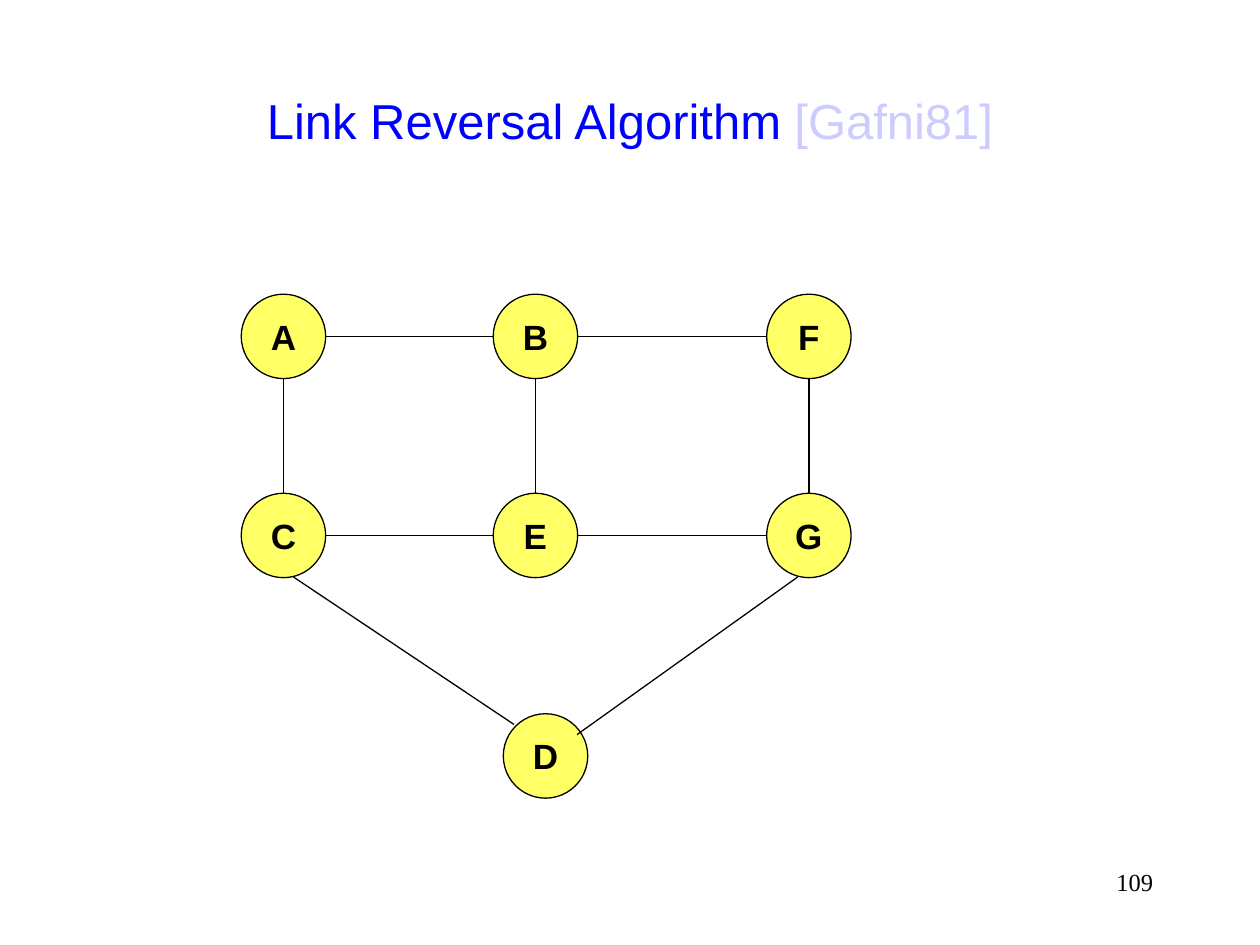
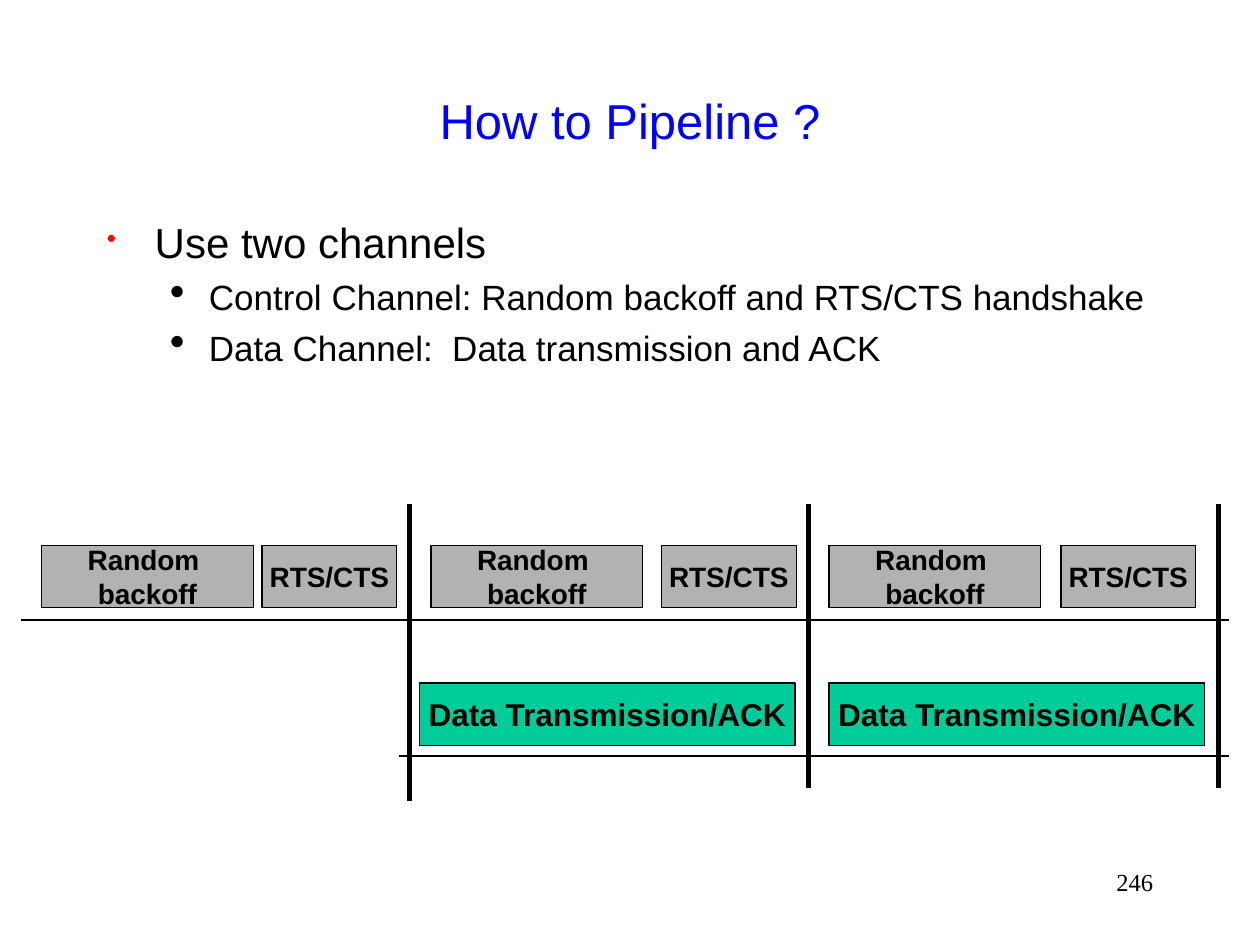
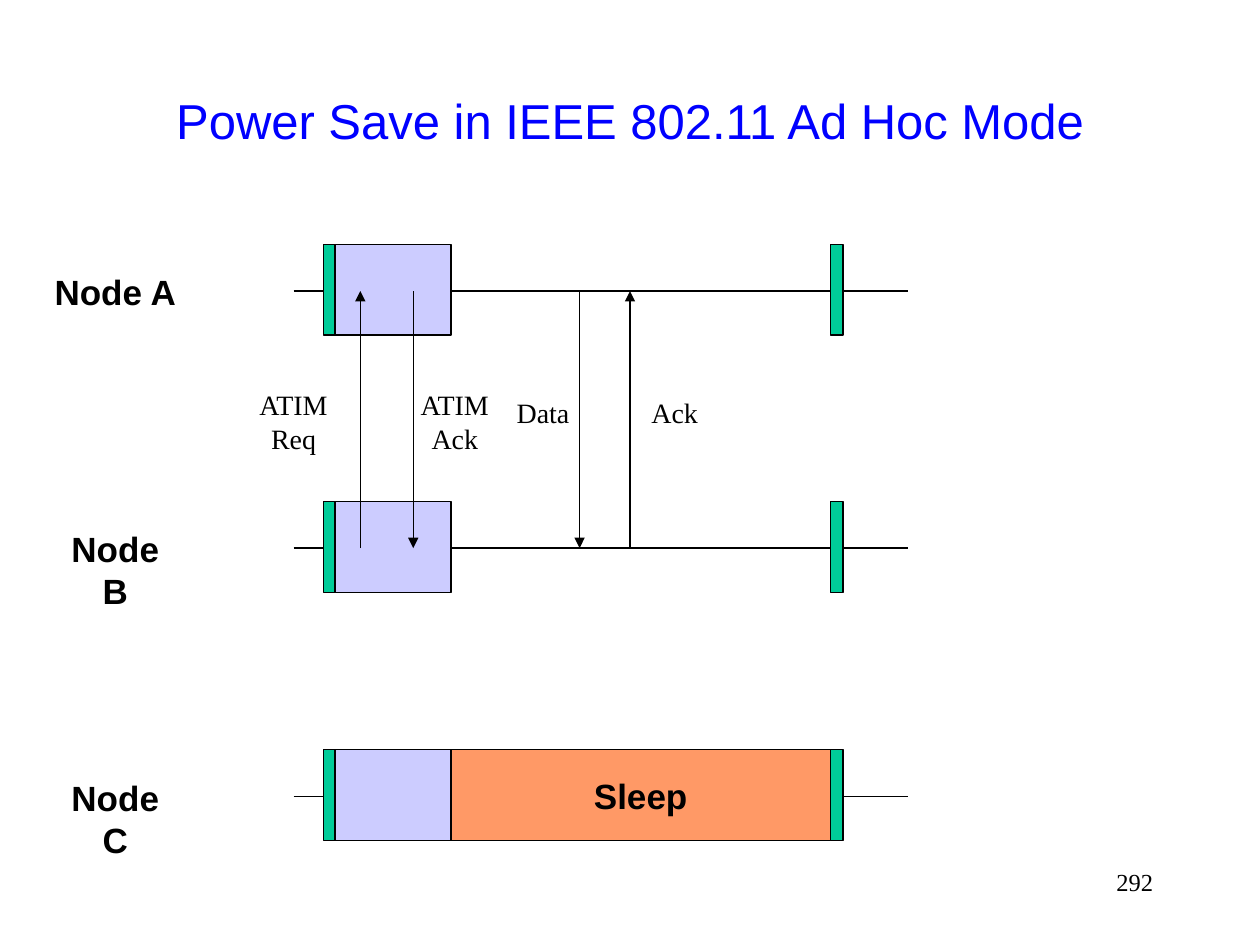
from itertools import chain
from lxml.etree import SubElement
from pptx import Presentation
from pptx.dml.color import RGBColor
from pptx.enum.shapes import MSO_CONNECTOR, MSO_SHAPE
from pptx.enum.text import MSO_ANCHOR, PP_ALIGN
from pptx.oxml.ns import qn
from pptx.util import Inches, Pt

WIDTH, HEIGHT = 10, 7.5
BLACK, BLUE, RED, LILAC = "000000", "0000FF", "FF0000", "CCCCFF"
YELLOW, GREEN, GREY, ORANGE = "FFFF66", "00CC99", "B2B2B2", "FF9966"
SANS, SERIF = "Arial", "Times New Roman"

TITLE_STYLE = dict(size=28, name=SANS, color=BLUE)
NUMBER_STYLE = dict(size=14, name=SERIF, color=BLACK)
LABEL_STYLE = dict(size=20, name=SANS, color=BLACK, bold=True)
CONTROL_STYLE = LABEL_STYLE | dict(size=16)
DATA_STYLE = LABEL_STYLE | dict(size=18)
MESSAGE_STYLE = dict(size=16, name=SERIF, color=BLACK)

# Link reversal: node centres, links between neighbours, slanted links to D
NODE_SIZE = 0.67
NODE_COLUMNS, NODE_ROWS = (2.25, 4.25, 6.42), (2.67, 4.25)
NODE_GRID = ("ABF", "CEG")
LONE_NODE = ("D", 4.33, 6)
LINKS = ("AB", "BF", "CE", "EG", "AC", "BE", "FG")
SLANTED_LINKS = [(2.33, 4.58, 4.08, 5.75), (6.33, 4.58, 4.58, 5.83)]

# Pipelining
CHANNEL_POINTS = [
    (0, "Use two channels"),
    (1, "Control Channel: Random backoff and RTS/CTS handshake"),
    (1, "Data Channel:  Data transmission and ACK"),
]
POINT_LEVELS = [
    dict(size=24, margin=0.38, hang=0.38, before=6, bullet=RED, share=65),
    dict(size=20, margin=0.81, hang=0.31, before=5, bullet=BLACK, share=125),
]
BLOCK_KINDS = {  # lines, top, width, height, fill, style
    "backoff": (["Random ", "backoff"], 4.33, 1.68, 0.49, GREY, CONTROL_STYLE),
    "handshake": (["RTS/CTS"], 4.33, 1.07, 0.49, GREY, CONTROL_STYLE),
    "data": (["Data Transmission/ACK"], 5.42, 2.98, 0.5, GREEN, DATA_STYLE),
}
BLOCK_LEFTS = {
    "backoff": (0.33, 3.42, 6.58),
    "handshake": (2.08, 5.25, 8.42),
    "data": (3.33, 6.58),
}
CHANNEL_AXES = [(0.17, 4.92), (3.17, 6)]
CHANNEL_END = 9.75
STAGE_BOUNDS = [(3.25, 6.36), (6.42, 6.25), (9.67, 6.25)]
STAGE_TOP = 4

# Power save
NODE_AXES = {"Node A": 2.31, "Node B": 4.35, "Node C": 6.32}
AXIS_LEFT, AXIS_RIGHT = 2.33, 7.21
WINDOW_HEIGHT = 0.72
WINDOWS = [(2.57, 0.1, GREEN), (6.59, 0.1, GREEN), (2.66, 0.92, LILAC)]
SLEEP = (3.58, 3.01, ORANGE)
MESSAGES = [  # lines, arrow x, sender, receiver, label left, top, width, height
    (["ATIM", "Req"], 2.86, "Node B", "Node A", 1.95, 3.03, 0.76, 0.64),
    (["ATIM", "Ack"], 3.28, "Node A", "Node B", 3.23, 3.03, 0.76, 0.64),
    (["Data"], 4.6, "Node A", "Node B", 4, 3.09, 0.62, 0.37),
    (["Ack"], 5, "Node B", "Node A", 5.07, 3.09, 0.57, 0.37),
]


def rgb(color):
    return RGBColor.from_string(color)


def add_run(paragraph, text, style):
    run = paragraph.add_run()
    run.text = text
    for key, value in style.items():
        if key == "color":
            run.font.color.rgb = rgb(value)
        else:
            setattr(run.font, key, Pt(value) if key == "size" else value)


def write(frame, lines, style, align=PP_ALIGN.CENTER, wrap=False, anchor=MSO_ANCHOR.TOP):
    frame.word_wrap, frame.vertical_anchor = wrap, anchor
    for index, line in enumerate(lines):
        paragraph = frame.add_paragraph() if index else frame.paragraphs[0]
        paragraph.alignment = align
        add_run(paragraph, line, style)


def add_text(slide, box, lines, style, **layout):
    frame = slide.shapes.add_textbox(*map(Inches, box)).text_frame
    write(frame, lines, style, **layout)
    return frame


def add_block(slide, box, fill, lines=(), style=LABEL_STYLE, kind=MSO_SHAPE.RECTANGLE):
    block = slide.shapes.add_shape(kind, *map(Inches, box))
    block.shadow.inherit = False
    block.fill.solid()
    block.fill.fore_color.rgb = rgb(fill)
    block.line.color.rgb = rgb(BLACK)
    block.line.width = Pt(0.75)
    write(block.text_frame, lines, style, anchor=MSO_ANCHOR.MIDDLE)


def add_line(slide, ends, width=0.75, arrow=False):
    line = slide.shapes.add_connector(MSO_CONNECTOR.STRAIGHT, *map(Inches, ends))
    line.line.color.rgb = rgb(BLACK)
    line.line.width = Pt(width)
    if arrow:
        SubElement(line.line._get_or_add_ln(), qn("a:tailEnd"), type="triangle")
    SubElement(line._element.spPr, qn("a:effectLst"))


def add_bullet(paragraph, level):
    properties = paragraph._p.get_or_add_pPr()
    properties.set("marL", str(Inches(level["margin"])))
    properties.set("indent", str(-Inches(level["hang"])))
    color = SubElement(properties, qn("a:buClr"))
    SubElement(color, qn("a:srgbClr"), val=level["bullet"])
    SubElement(properties, qn("a:buSzPct"), val=str(level["share"] * 1000))
    SubElement(properties, qn("a:buChar"), char="•")


def start_slide(deck, title, number):
    """Add a blank slide with the shared title and page number."""
    slide = deck.slides.add_slide(deck.slide_layouts[6])
    heading = add_text(slide, (0.75, 0.33, 8.5, 1.25), [title], TITLE_STYLE,
                       wrap=True, anchor=MSO_ANCHOR.MIDDLE)
    add_text(slide, (7.17, 6.83, 2.08, 0.5), [str(number)], NUMBER_STYLE,
             align=PP_ALIGN.RIGHT, wrap=True)
    return slide, heading


def link_reversal(deck):
    slide, heading = start_slide(deck, "Link Reversal Algorithm ", 109)
    add_run(heading.paragraphs[0], "[Gafni81]", TITLE_STYLE | dict(color=LILAC))
    radius = NODE_SIZE / 2
    centres = {name: (x, y) for names, y in zip(NODE_GRID, NODE_ROWS)
               for name, x in zip(names, NODE_COLUMNS)}
    lone_name, *centres[LONE_NODE[0]] = LONE_NODE
    for name, (x, y) in centres.items():
        add_block(slide, (x - radius, y - radius, NODE_SIZE, NODE_SIZE), YELLOW,
                  [name], kind=MSO_SHAPE.OVAL)
    for first, second in LINKS:
        (x1, y1), (x2, y2) = centres[first], centres[second]
        dx, dy = (radius, 0) if y1 == y2 else (0, radius)
        add_line(slide, (x1 + dx, y1 + dy, x2 - dx, y2 - dy))
    for ends in SLANTED_LINKS:
        add_line(slide, ends)


def pipeline(deck):
    slide, _ = start_slide(deck, "How to Pipeline ?", 246)
    points = slide.shapes.add_textbox(*map(Inches, (0.75, 1.67, 8.5, 5))).text_frame
    points.word_wrap = True
    for index, (depth, text) in enumerate(CHANNEL_POINTS):
        level = POINT_LEVELS[depth]
        point = points.add_paragraph() if index else points.paragraphs[0]
        point.level = depth
        add_bullet(point, level)
        if index:
            point.space_before = Pt(level["before"])
        add_run(point, text, dict(size=level["size"], name=SANS, color=BLACK))
    for kind, (lines, top, width, height, fill, style) in BLOCK_KINDS.items():
        for left in BLOCK_LEFTS[kind]:
            add_block(slide, (left, top, width, height), fill, lines, style)
    for left, y in CHANNEL_AXES:
        add_line(slide, (left, y, CHANNEL_END, y))
    for x, bottom in STAGE_BOUNDS:
        add_line(slide, (x, STAGE_TOP, x, bottom), width=2.75)


def power_save(deck):
    slide, _ = start_slide(deck, "Power Save in IEEE 802.11 Ad Hoc Mode", 292)
    for name, y in NODE_AXES.items():
        top = y - WINDOW_HEIGHT / 2 - 0.01
        add_text(slide, (0.33, y - 0.21, 1.17, 0.44), [name], LABEL_STYLE)
        add_line(slide, (AXIS_LEFT, y, AXIS_RIGHT, y))
        for left, width, fill in WINDOWS:
            add_block(slide, (left, top, width, WINDOW_HEIGHT), fill)
    left, width, fill = SLEEP
    add_block(slide, (left, top, width, WINDOW_HEIGHT), fill, ["Sleep"])
    for lines, x, sender, receiver, *box in MESSAGES:
        add_line(slide, (x, NODE_AXES[sender], x, NODE_AXES[receiver]), arrow=True)
        add_text(slide, box, lines, MESSAGE_STYLE)


def main():
    deck = Presentation()
    deck.slide_width, deck.slide_height = Inches(WIDTH), Inches(HEIGHT)
    for build in (link_reversal, pipeline, power_save):
        build(deck)
    deck.save("out.pptx")


if __name__ == "__main__":
    main()
